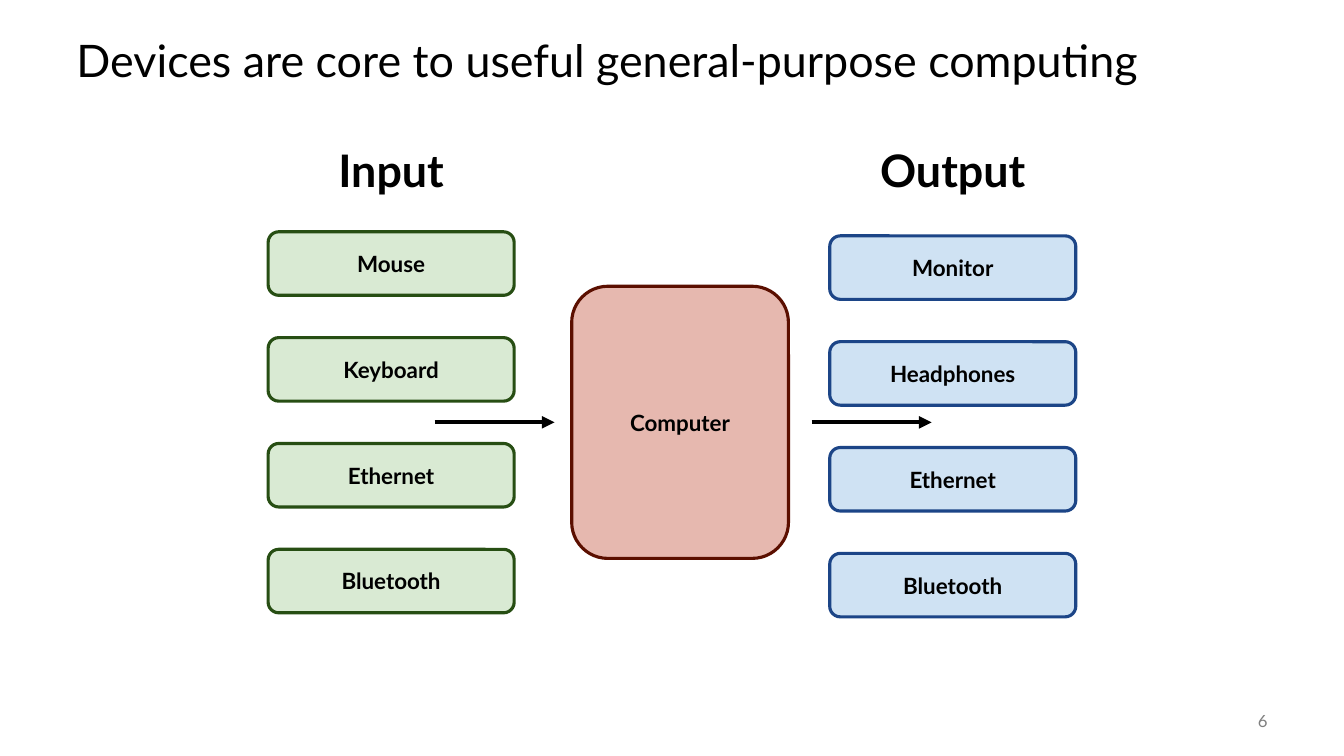
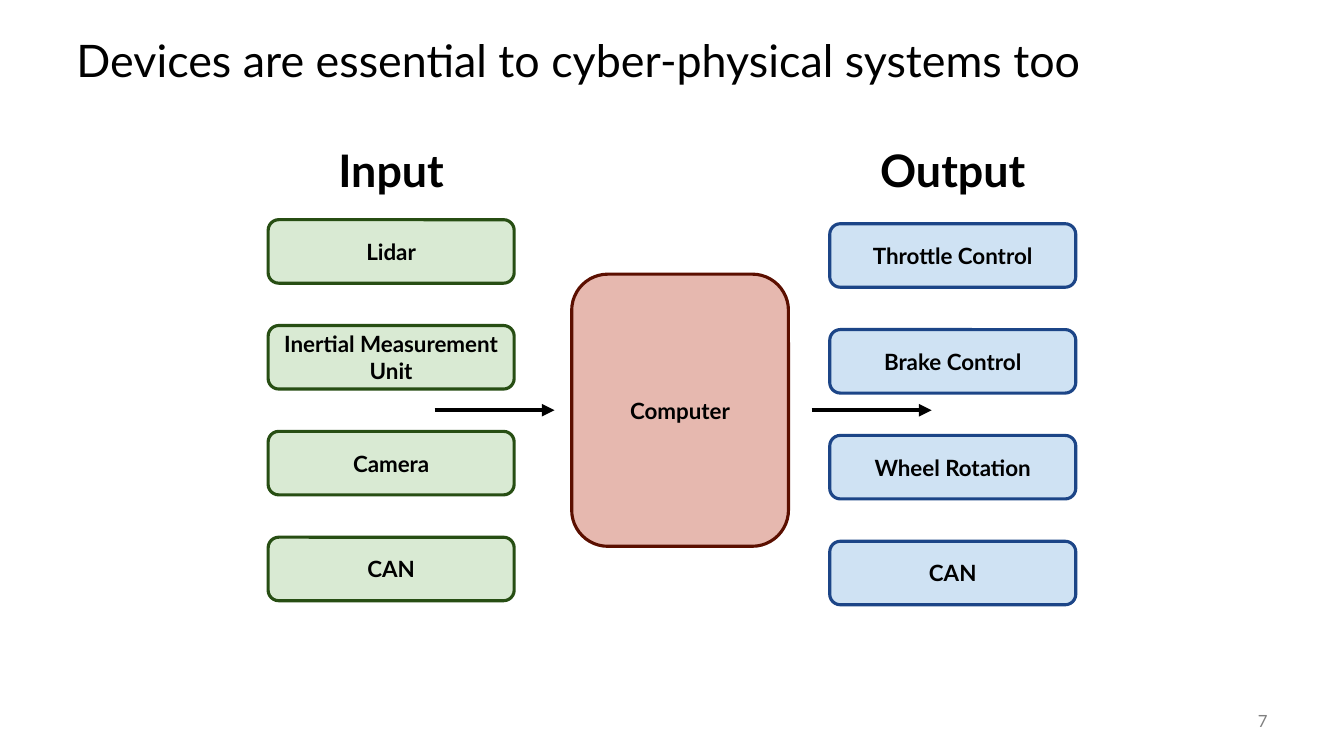
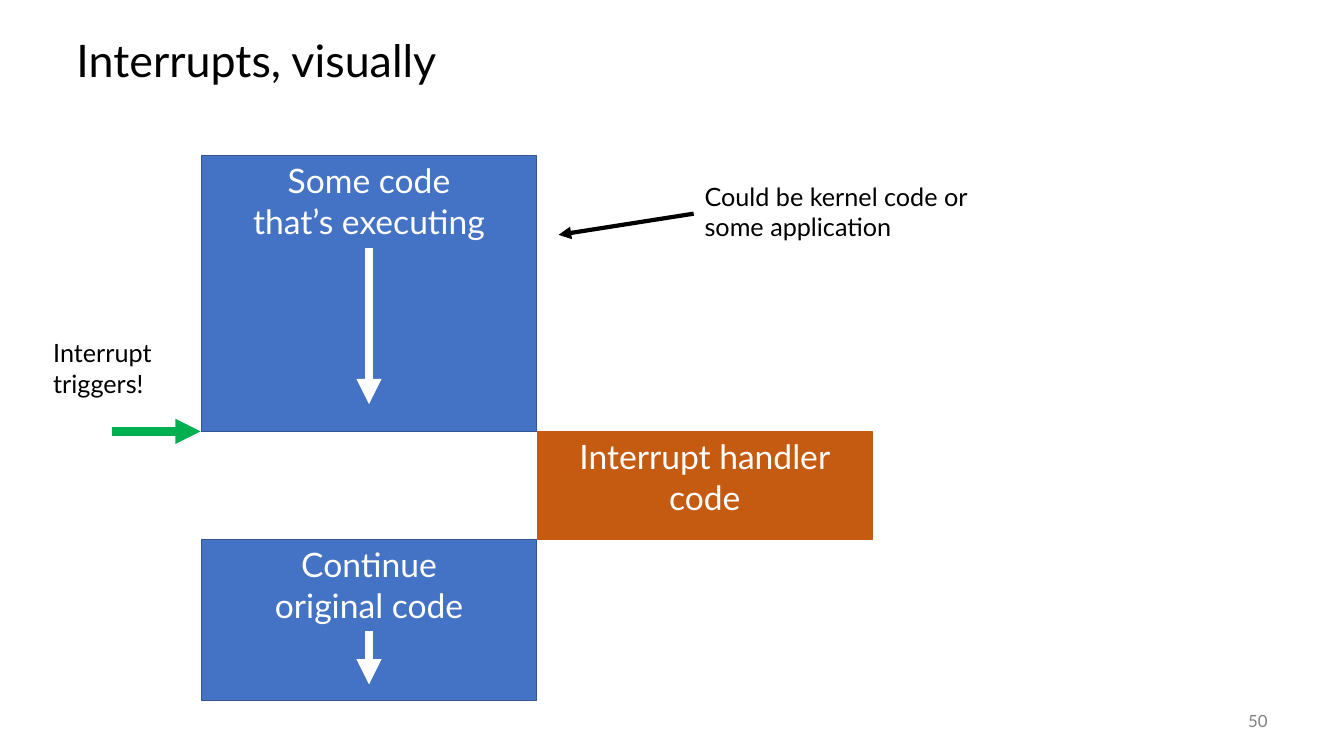
from lxml.etree import SubElement
from pptx import Presentation
from pptx.dml.color import RGBColor
from pptx.enum.shapes import MSO_CONNECTOR as Link, MSO_SHAPE as Form
from pptx.enum.text import MSO_ANCHOR as Anchor, PP_ALIGN as Align
from pptx.oxml.ns import qn
from pptx.util import Inches, Pt

hue = RGBColor.from_string
BLACK, WHITE, GRAY = "000000", "FFFFFF", "808080"
GREEN, BLUE, RED = ("D9EAD3", "274E13"), ("CFE2F3", "1C4587"), ("E6B8AF", "5B0F00")
CODE, RUST = ("4472C4", "325491"), ("C55A11", "C55A11")

TITLE = {"size": 32, "mid": True, "lead": 0.9}
PAGE = {"size": 12, "ink": GRAY, "align": Align.RIGHT, "mid": True}
HEAD = {"size": 32, "bold": True, "align": Align.CENTER}
PART = {"size": 16, "bold": True, "align": Align.CENTER, "mid": True,
        "form": Form.ROUNDED_RECTANGLE, "edge": 2.25, "pad": 0.1}
BLOCK = {"size": 24, "ink": WHITE, "align": Align.CENTER, "form": Form.RECTANGLE, "edge": 1}
NOTE = {"size": 18}


def put(slide, text, x, y, w, h, look, paint=None):
    area = [Inches(v) for v in (x, y, w, h)]
    if paint:
        shape = slide.shapes.add_shape(look["form"], *area)
        shape.shadow.inherit = False
        shape.fill.solid()
        shape.fill.fore_color.rgb = hue(paint[0])
        shape.line.color.rgb = hue(paint[1])
        shape.line.width = Pt(look["edge"])
    else:
        shape = slide.shapes.add_textbox(*area)
    frame = shape.text_frame
    pad = Inches(look.get("pad", 0.05))
    style = {"word_wrap": True, "margin_top": pad, "margin_bottom": pad,
             "vertical_anchor": Anchor.MIDDLE if look.get("mid") else Anchor.TOP}
    for name, value in style.items():
        setattr(frame, name, value)
    line = frame.paragraphs[0]
    line.text = text
    line.alignment = look.get("align", Align.LEFT)
    line.line_spacing = look.get("lead", 1.0)
    type_set = {"name": "Lato", "size": Pt(look["size"]), "bold": look.get("bold", False)}
    for run in line.runs:
        for name, value in type_set.items():
            setattr(run.font, name, value)
        run.font.color.rgb = hue(look.get("ink", BLACK))


def arrow(slide, x1, y1, x2, y2, ink=BLACK, width=3):
    ends = [Inches(v) for v in (x1, y1, x2, y2)]
    link = slide.shapes.add_connector(Link.STRAIGHT, *ends)
    link.line.color.rgb = hue(ink)
    link.line.width = Pt(width)
    SubElement(link.line._get_or_add_ln(), qn("a:tailEnd"), type="triangle")
    SubElement(link._element.spPr, qn("a:effectLst"))


deck = Presentation()
deck.slide_width, deck.slide_height = Inches(13.33), Inches(7.5)

pages = [
    ("Devices are core to useful general-purpose computing", "6"),
    ("Devices are essential to cyber-physical systems too", "7"),
    ("Interrupts, visually", "50"),
]
slides = []
for title, page in pages:
    slide = deck.slides.add_slide(deck.slide_layouts[6])
    put(slide, title, 0.66, 0.25, 12, 0.75, TITLE)
    put(slide, page, 11.67, 6.95, 1, 0.4, PAGE)
    slides.append(slide)

flows = [
    (2.3, ["Mouse", "Keyboard", "Ethernet", "Bluetooth"],
     ["Monitor", "Headphones", "Ethernet", "Bluetooth"]),
    (2.18, ["Lidar", "Inertial Measurement Unit", "Camera", "CAN"],
     ["Throttle Control", "Brake Control", "Wheel Rotation", "CAN"]),
]
for slide, (top, inputs, outputs) in zip(slides, flows):
    put(slide, "Computer", 5.67, top + 0.54, 2.15, 2.7, PART, RED)
    sides = [("Input", inputs, 2.66, top, GREEN), ("Output", outputs, 8.23, top + 0.04, BLUE)]
    for head, parts, left, start, paint in sides:
        put(slide, head, left, 1.37, 2.44, 0.64, HEAD)
        for row, part in enumerate(parts):
            put(slide, part, left, start + row * 1.05, 2.44, 0.63, PART, paint)
    for left in (4.31, 8.05):
        arrow(slide, left, top + 1.89, left + 1.19, top + 1.89)

slide = slides[2]
blocks = [
    ("Some code\nthat’s executing", 2, 1.54, 2.74, CODE),
    ("Interrupt handler\ncode", 5.33, 4.28, 1.07, RUST),
    ("Continue\noriginal code", 2, 5.35, 1.6, CODE),
]
for text, left, top, high, paint in blocks:
    put(slide, text, left, top, 3.32, high, BLOCK, paint)
for start, end in ((2.46, 4.01), (6.26, 6.79)):
    arrow(slide, 3.66, start, 3.66, end, WHITE, 6)
arrow(slide, 1.11, 4.28, 1.99, 4.28, "00B050", 6)
arrow(slide, 6.88, 2.12, 5.54, 2.33)
put(slide, "Interrupt triggers!", 0.43, 3.3, 1.57, 0.71, NOTE)
put(slide, "Could be kernel code or some application", 6.89, 1.75, 2.97, 0.71, NOTE)

deck.save("out.pptx")
